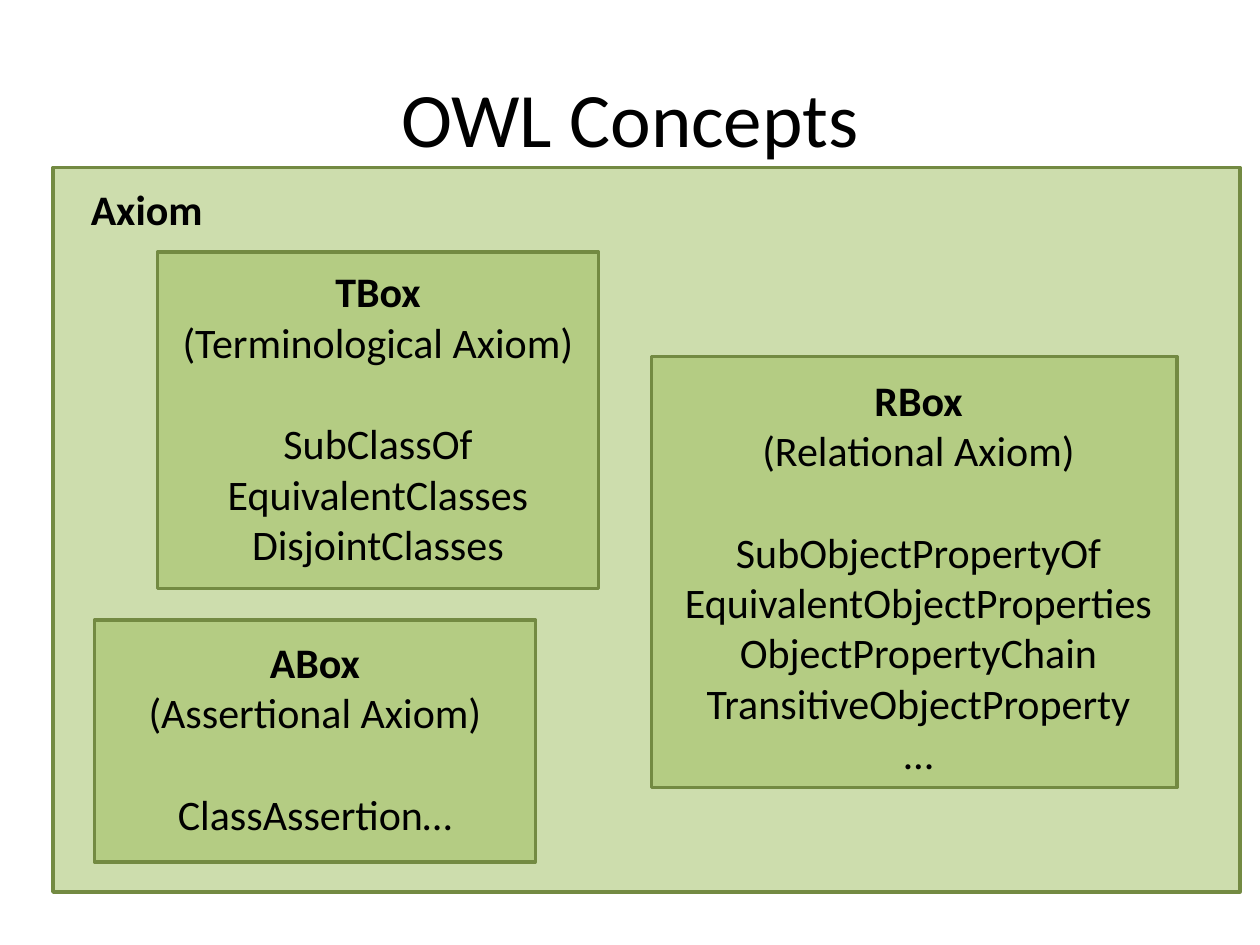
"""Build the OWL Concepts slide with its axiom boxes."""
import pptx
import pptx.dml.color
import pptx.enum.shapes
import pptx.enum.text
import pptx.oxml
import pptx.oxml.ns
import pptx.util
from pptx.util import Inches

GREEN = pptx.dml.color.RGBColor(0x9B, 0xBB, 0x59)
DARK_GREEN = pptx.dml.color.RGBColor(0x73, 0x8A, 0x42)
BLACK = pptx.dml.color.RGBColor(0, 0, 0)
BLANK_LINE = pptx.util.Pt(29.3)


def add_box(slide, left, top, width, height):
    shape = slide.shapes.add_shape(
        pptx.enum.shapes.MSO_SHAPE.RECTANGLE,
        Inches(left), Inches(top), Inches(width), Inches(height))
    shape.shadow.inherit = False
    shape.fill.solid()
    shape.fill.fore_color.rgb = GREEN
    color = shape.fill._xPr.find(".//" + pptx.oxml.ns.qn("a:srgbClr"))
    alpha = pptx.oxml.parse_xml(
        f'<a:alpha {pptx.oxml.ns.nsdecls("a")} val="49000"/>')
    color.append(alpha)
    shape.line.color.rgb = DARK_GREEN
    shape.line.width = pptx.util.Pt(2)


def add_text(slide, left, top, width, height, lines, size=24, bold_first=True):
    shape = slide.shapes.add_textbox(
        Inches(left), Inches(top), Inches(width), Inches(height))
    frame = shape.text_frame
    frame.word_wrap = True
    frame.text = "\n".join(lines)
    for index, paragraph in enumerate(frame.paragraphs):
        paragraph.alignment = pptx.enum.text.PP_ALIGN.CENTER
        paragraph.font.name = "Calibri"
        paragraph.font.size = pptx.util.Pt(size)
        paragraph.font.color.rgb = BLACK
        paragraph.font.bold = bold_first and index == 0
        if index == 2:
            paragraph.space_before = BLANK_LINE
    return frame


presentation = pptx.Presentation()
presentation.slide_width = Inches(10)
presentation.slide_height = Inches(7.5)
slide = presentation.slides.add_slide(presentation.slide_layouts[6])

title = add_text(slide, 0.5, 0.3, 9, 1.25, ["OWL Concepts"], 44, False)
title.vertical_anchor = pptx.enum.text.MSO_ANCHOR.MIDDLE

add_box(slide, 0.42, 1.33, 9.42, 5.75)
add_text(slide, 0.5, 1.41, 1.33, 0.5, ["Axiom"])

axiom_boxes = [
    ((1.25, 2, 3.5, 2.67), (1.25, 2.06, 3.5, 2.52),
     ["TBox", "(Terminological Axiom)", "SubClassOf", "EquivalentClasses",
      "DisjointClasses"]),
    ((5.17, 2.83, 4.17, 3.42), (5.33, 2.92, 3.92, 3.33),
     ["RBox", "(Relational Axiom)", "SubObjectPropertyOf",
      "EquivalentObjectProperties", "ObjectPropertyChain",
      "TransitiveObjectProperty", "…"]),
    ((0.75, 4.92, 3.5, 1.92), (0.75, 5, 3.5, 1.72),
     ["ABox", "(Assertional Axiom)", "ClassAssertion…"]),
]
for box_area, text_area, lines in axiom_boxes:
    add_box(slide, *box_area)
    add_text(slide, *text_area, lines)

presentation.save("out.pptx")
